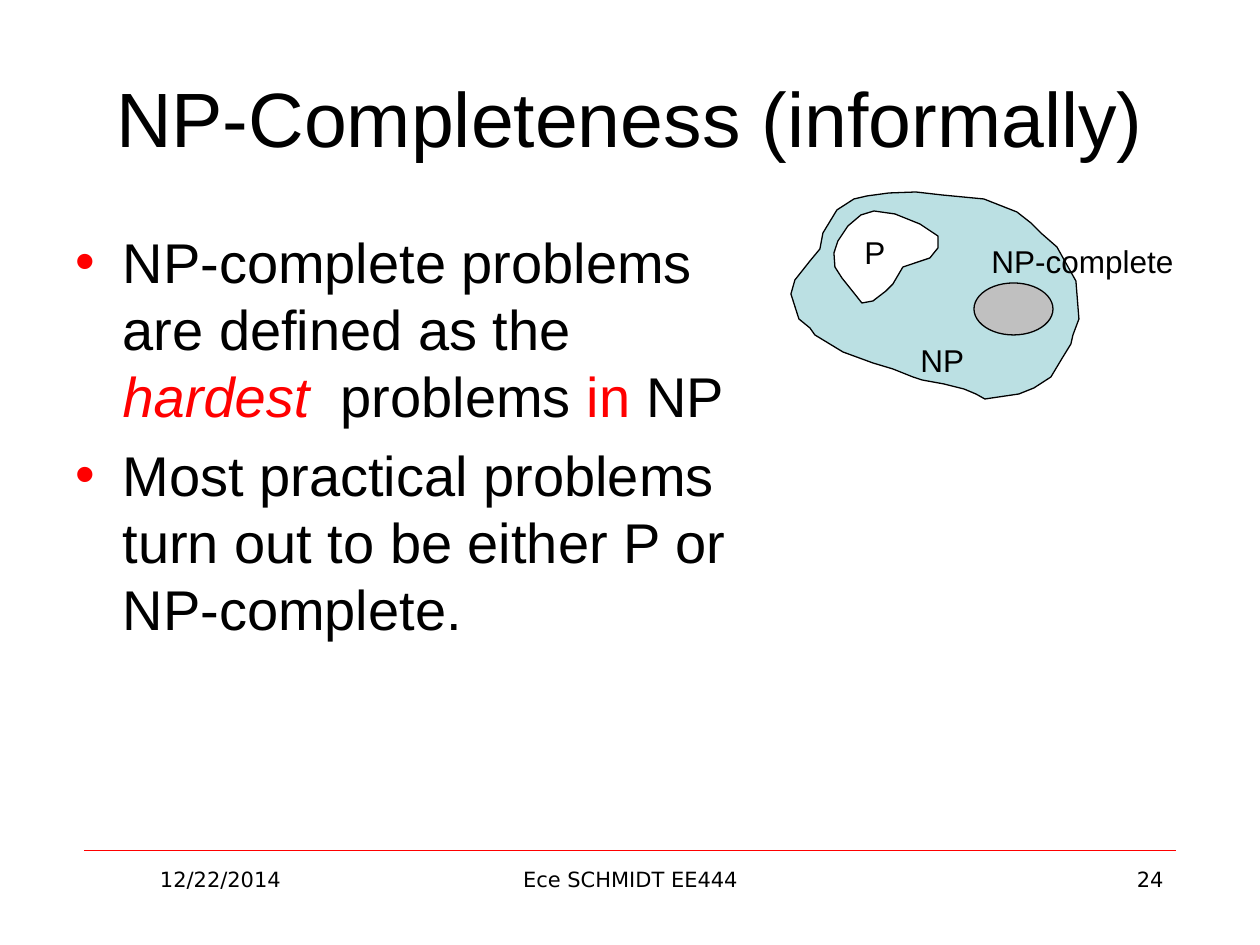
from lxml import etree
from pptx import Presentation
from pptx import util as u
from pptx.dml.color import RGBColor
from pptx.enum import shapes, text
from pptx.oxml.ns import qn

PX = 914400 // 126
HUES = {"ink": "000000", "red": "FF0000", "sea": "BBE0E3",
        "white": "FFFFFF", "gray": "C0C0C0"}
SANS, FOOT = "Arial", "DejaVu Sans"
LEFT, MID, RIGHT = text.PP_ALIGN.LEFT, text.PP_ALIGN.CENTER, text.PP_ALIGN.RIGHT

# Outlines in px, relative to the corner of the diagram
NP_RIM = [
    (98, 3), (76, 6), (63, 9), (46, 20), (32, 43), (29, 59), (19, 71),
    (4, 90), (0, 104), (8, 129), (19, 138), (24, 145), (52, 162), (82, 173),
    (102, 179), (122, 187), (131, 190), (153, 194), (173, 199),
    (185, 204), (194, 209), (228, 204), (243, 198), (260, 187), (272, 167),
    (280, 154), (282, 145), (288, 129), (285, 91), (266, 57), (250, 43),
    (240, 33), (226, 22), (193, 9), (151, 5), (125, 2)]
P_RIM = [
    (70, 25), (57, 36), (47, 51), (43, 63), (44, 77), (51, 88), (71, 113),
    (82, 111), (95, 101), (102, 94), (112, 77), (139, 68), (147, 58),
    (147, 46), (144, 44), (129, 34), (104, 24), (83, 21)]


def hue(name):
    return RGBColor.from_string(HUES[name])


def scale(box):
    return [n * PX for n in box]


def place(shape, box):
    shape.left, shape.top, shape.width, shape.height = scale(box)


def add_run(para, words, size, font=SANS, color="ink", slant=False):
    run = para.add_run()
    run.text = words
    run.font.size, run.font.name = u.Pt(size), font
    run.font.italic = slant
    run.font.color.rgb = hue(color)


def paint(shape, color):
    shape.shadow.inherit = False
    shape.fill.solid()
    shape.fill.fore_color.rgb = hue(color)
    shape.line.color.rgb = hue("ink")
    shape.line.width = u.Pt(0.75)


def add_label(slide, box, words, size, font=SANS, align=LEFT, wrap=False):
    label = slide.shapes.add_textbox(*scale(box))
    label.text_frame.word_wrap = wrap
    para = label.text_frame.paragraphs[0]
    para.alignment = align
    add_run(para, words, size, font)


def add_blob(slide, x, y, rim, color):
    first, *rest = [(x + p, y + q) for p, q in rim]
    pen = slide.shapes.build_freeform(*first, scale=PX)
    pen.add_line_segments(rest, close=True)
    paint(pen.convert_to_shape(), color)


def add_title(slide, box, words):
    title = slide.shapes.title
    place(title, box)
    title.text_frame.vertical_anchor = text.MSO_ANCHOR.MIDDLE
    para = title.text_frame.paragraphs[0]
    para.alignment = MID
    add_run(para, words, 44)


def add_list(slide, box, items):
    body = slide.placeholders[1]
    place(body, box)
    frame = body.text_frame
    for i, item in enumerate(items):
        para = frame.add_paragraph() if i else frame.paragraphs[0]
        props = para._p.get_or_add_pPr()
        props.set("marL", str(47 * PX))
        props.set("indent", str(-47 * PX))
        tint = etree.SubElement(props, qn("a:buClr"))
        etree.SubElement(tint, qn("a:srgbClr"), val=HUES["red"])
        etree.SubElement(props, qn("a:buFont"), typeface=SANS)
        etree.SubElement(props, qn("a:buChar"), char="•")
        for words, color, slant in item:
            add_run(para, words, 32, color=color, slant=slant)


def add_sets(slide, x, y):
    """Diagram of P and NP-complete inside NP."""
    add_blob(slide, x, y, NP_RIM, "sea")
    add_blob(slide, x, y, P_RIM, "white")
    add_label(slide, (x + 61, y + 37, 46, 50), "P", 18)
    add_label(slide, (x + 117, y + 145, 69, 50), "NP", 18)
    oval = slide.shapes.add_shape(
        shapes.MSO_SHAPE.OVAL, *scale((x + 183, y + 93, 79, 52)))
    paint(oval, "gray")
    add_label(slide, (x + 188, y + 46, 208, 50), "NP-complete", 18)


def add_footer(slide, x, y, width):
    rule = slide.shapes.add_connector(
        shapes.MSO_CONNECTOR.STRAIGHT, *scale((x, y, x + width, y)))
    rule.line.color.rgb = hue("red")
    rule.line.width = u.Pt(0.25)
    etree.SubElement(rule._element.spPr, qn("a:effectLst"))
    for left, wide, words, align in (
            (0, 273, "12/22/2014", MID),
            (347, 399, "Ece SCHMIDT EE444", MID),
            (width - 273, 273, "24", RIGHT)):
        add_label(slide, (x + left, y + 10, wide, 65), words, 12, FOOT,
                  align, True)


def main():
    deck = Presentation()
    deck.slide_width, deck.slide_height = u.Inches(10), u.Inches(7.5)
    slide = deck.slides.add_slide(deck.slide_layouts[1])
    add_title(slide, (63, 38, 1134, 158), "NP-Completeness (informally)")
    add_list(slide, (63, 221, 714, 624), [
        [("NP-complete problems are defined as the ", "ink", False),
         ("hardest ", "red", True),
         (" problems ", "ink", False),
         ("in", "red", False),
         (" NP", "ink", False)],
        [("Most practical problems turn out to be either P or NP-complete.",
          "ink", False)]])
    add_sets(slide, 791, 190)
    add_footer(slide, 84, 850, 1092)
    deck.save("out.pptx")


if __name__ == "__main__":
    main()
